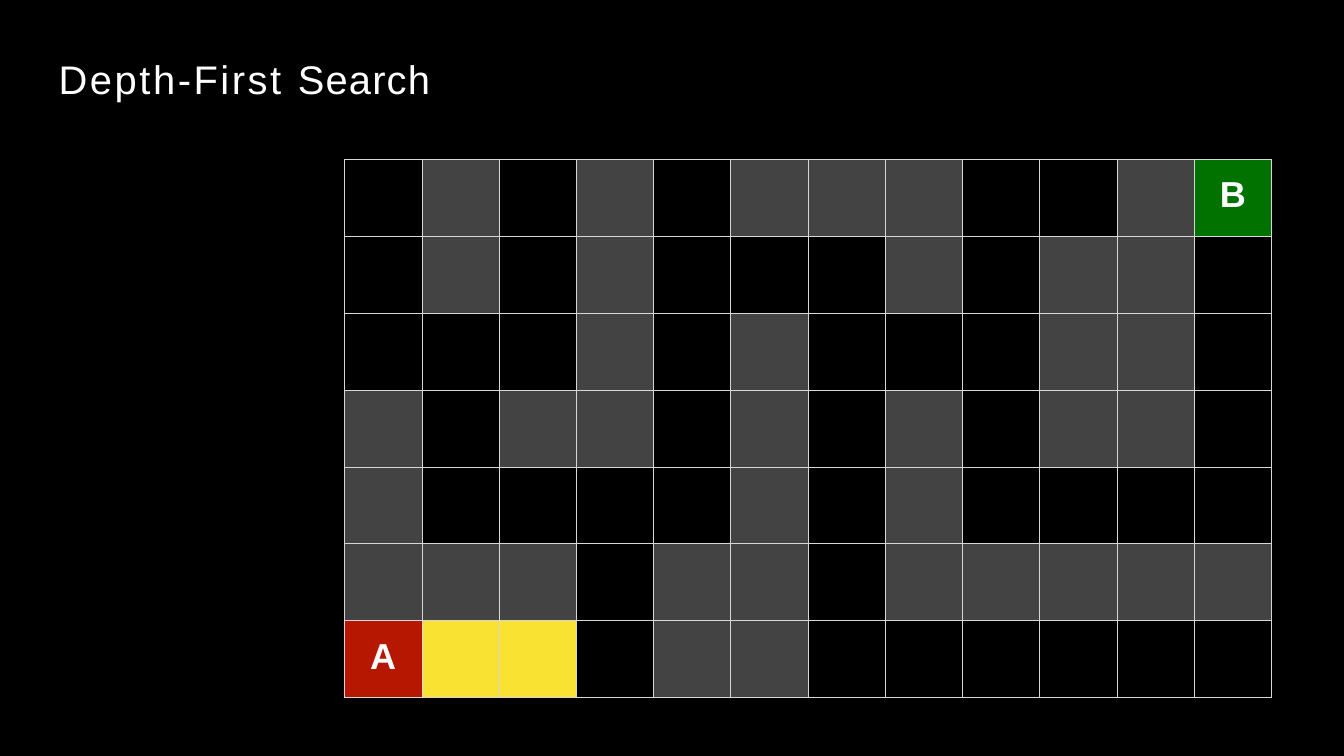
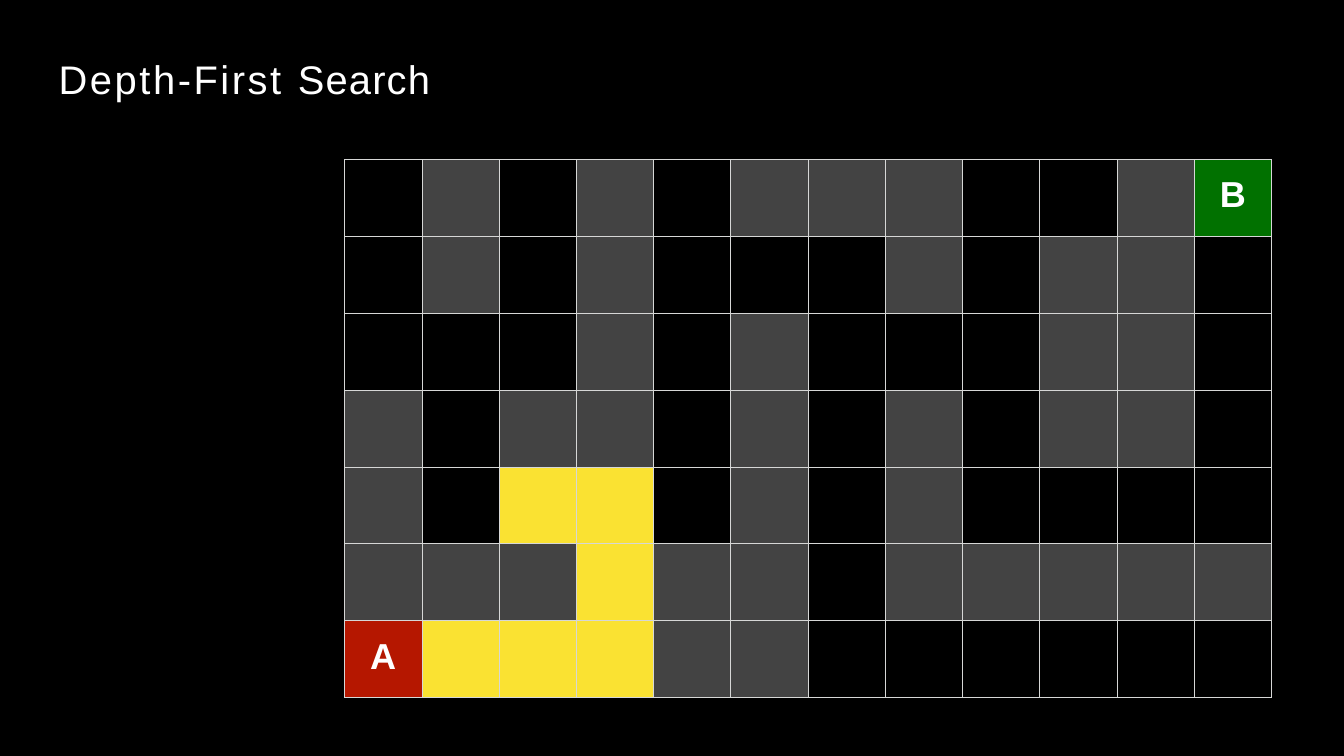
from lxml import etree
from pptx import Presentation
from pptx.dml.color import RGBColor
from pptx.enum import text
from pptx.oxml import ns
from pptx.util import Pt

THEME = {
    "background": "000000", "text": "FFFFFF", "grid": "D6D7D6",
    "open": "000000", "wall": "434343", "explored": "FAE232",
    "start": "B51700", "goal": "017100",
    "font": "Arial", "title_size": 47, "label_size": 42.5, "grid_width": 1,
}
TITLE_RUNS = [("Depth-First ", 3), ("Search", 1.4)]  # wording, letter spacing
TITLE_BOX = {"left": 69.1, "top": 61.9, "width": 439.2, "height": 58.3}
GRID_LEFT, GRID_TOP, CELL_W, CELL_H = 406, 188, 91, 90.55

MAZE = [
    ".#.#.###..#B",
    ".#.#...#.##.",
    "...#.#...##.",
    "#.##.#.#.##.",
    "#....#.#....",
    "###.##.#####",
    "A...##......",
]
KINDS = {".": "open", "#": "wall", "A": "start", "B": "goal"}
# Cells (row, column) in the order the search visits them
VISITED = [(6, 1), (6, 2), (6, 3), (5, 3), (4, 3), (4, 2)]
STEPS = [2, 6]  # cells visited on each slide


def style_run(r, size, bold=False):
    for name, value in {"name": THEME["font"], "size": Pt(size), "bold": bold}.items():
        setattr(r.font, name, value)
    r.font.color.rgb = RGBColor.from_string(THEME["text"])


def add_borders(cell):
    tcPr = cell._tc.get_or_add_tcPr()
    for side in ("a:lnL", "a:lnR", "a:lnT", "a:lnB"):
        ln = etree.SubElement(tcPr, ns.qn(side), w=str(Pt(THEME["grid_width"])))
        fill = etree.SubElement(ln, ns.qn("a:solidFill"))
        etree.SubElement(fill, ns.qn("a:srgbClr"), val=THEME["grid"])


prs = Presentation()
prs.slide_width, prs.slide_height = Pt(1583.28), Pt(890.64)

# Shared black background
fill = prs.slide_master.background.fill
fill.solid()
fill.fore_color.rgb = RGBColor.from_string(THEME["background"])

for step in STEPS:
    s = prs.slides.add_slide(prs.slide_layouts.get_by_name("Title Only"))

    # Title
    sp = s.shapes.title
    for name, value in TITLE_BOX.items():
        setattr(sp, name, Pt(value))
    tf = sp.text_frame
    for name, value in {
        "margin_left": 0, "margin_right": 0, "margin_top": 0, "margin_bottom": 0,
        "word_wrap": False, "auto_size": text.MSO_AUTO_SIZE.NONE,
        "vertical_anchor": text.MSO_ANCHOR.BOTTOM,
    }.items():
        setattr(tf, name, value)
    p = tf.paragraphs[0]
    p.alignment = text.PP_ALIGN.LEFT
    for wording, spacing in TITLE_RUNS:
        r = p.add_run()
        r.text = wording
        style_run(r, THEME["title_size"])
        r._r.get_or_add_rPr().set("spc", str(round(spacing * 100)))

    # Maze
    rows, cols = len(MAZE), len(MAZE[0])
    table = s.shapes.add_table(rows, cols, Pt(GRID_LEFT), Pt(GRID_TOP),
                               Pt(cols * CELL_W), Pt(rows * CELL_H)).table
    table.first_row = table.horz_banding = False
    for column in table.columns:
        column.width = Pt(CELL_W)
    for row in table.rows:
        row.height = Pt(CELL_H)

    for i, line in enumerate(MAZE):
        for j, mark in enumerate(line):
            cell = table.cell(i, j)
            kind = "explored" if (i, j) in VISITED[:step] else KINDS[mark]
            add_borders(cell)
            cell.fill.solid()
            cell.fill.fore_color.rgb = RGBColor.from_string(THEME[kind])
            if kind in ("start", "goal"):
                cell.margin_left = cell.margin_right = cell.margin_bottom = 0
                cell.margin_top = Pt(18.6)
                p = cell.text_frame.paragraphs[0]
                p.alignment = text.PP_ALIGN.CENTER
                r = p.add_run()
                r.text = mark
                style_run(r, THEME["label_size"], bold=True)

prs.save("out.pptx")
